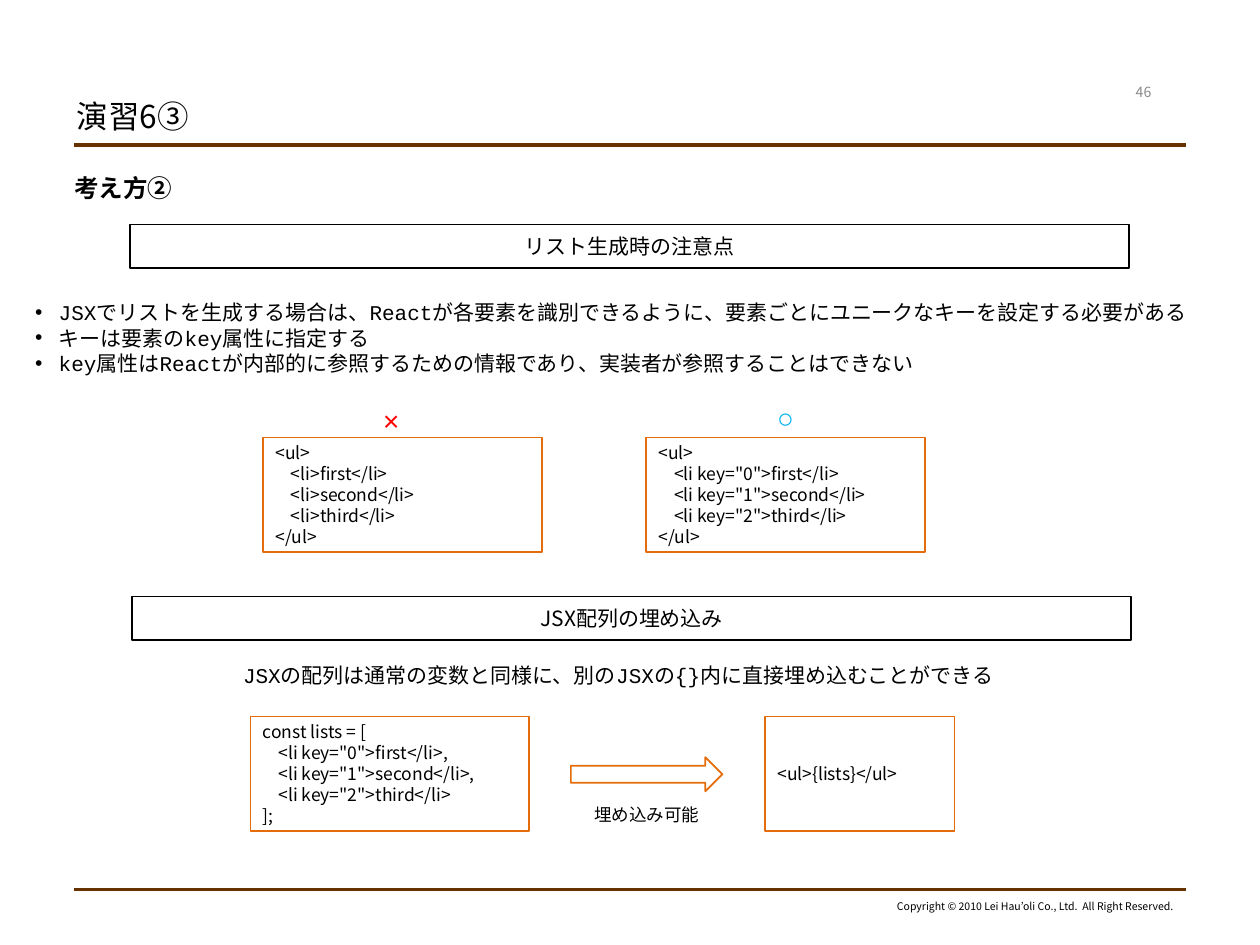
"""Builds the exercise slide on list keys and embedding JSX arrays."""
from lxml import etree
from pptx import Presentation
from pptx import util as u
from pptx.dml.color import RGBColor
from pptx.enum import shapes, text
from pptx.oxml.ns import qn

BLACK = RGBColor(0x00, 0x00, 0x00)
GREY = RGBColor(0x89, 0x89, 0x89)
BROWN = RGBColor(0x66, 0x33, 0x00)
ORANGE = RGBColor(0xE4, 0x6C, 0x0A)
RED = RGBColor(0xFF, 0x00, 0x00)
BLUE = RGBColor(0x00, 0xB0, 0xF0)
SANS = "Noto Sans CJK JP"
MONO = "Courier New"
LEFT, CENTER, RIGHT = text.PP_ALIGN.LEFT, text.PP_ALIGN.CENTER, text.PP_ALIGN.RIGHT
MIDDLE, TOP = text.MSO_ANCHOR.MIDDLE, text.MSO_ANCHOR.TOP


class Sheet:
    """Holds the style and the current slide."""

    line_height = 1.2
    bullet_indent = 13.5

    def __init__(self, slide):
        self.slide = slide

    def add_lines(self, frame, lines, size, font=SANS, color=BLACK, align=LEFT, bold=False, bullet=None):
        for index, line in enumerate(lines):
            paragraph = frame.paragraphs[0] if index == 0 else frame.add_paragraph()
            self.mark(paragraph, bullet)
            paragraph.alignment = align
            paragraph.space_before = u.Pt(0)
            paragraph.line_spacing = u.Pt(round(size * self.line_height, 2))
            run = paragraph.add_run()
            run.text = line
            run.font.size = u.Pt(size)
            run.font.bold = bold
            run.font.color.rgb = color
            run.font.name = font
            etree.SubElement(run.font._element, qn("a:ea"), typeface=SANS)

    def mark(self, paragraph, bullet):
        properties = paragraph._p.get_or_add_pPr()
        indent = u.Pt(self.bullet_indent) if bullet else 0
        properties.set("marL", str(indent))
        properties.set("indent", str(-indent))
        if bullet:
            etree.SubElement(properties, qn("a:buFont"), typeface="Arial")
            etree.SubElement(properties, qn("a:buChar"), char=bullet)
        else:
            etree.SubElement(properties, qn("a:buNone"))

    def placeholder(self, holder, box, lines, size, anchor, bold=False):
        holder.left, holder.top, holder.width, holder.height = map(u.Pt, box)
        holder.text_frame.vertical_anchor = anchor
        self.add_lines(holder.text_frame, lines, size, bold=bold)

    def label(self, box, lines, size, anchor=TOP, **style):
        frame = self.slide.shapes.add_textbox(*map(u.Pt, box)).text_frame
        frame.word_wrap = False
        frame.vertical_anchor = anchor
        self.add_lines(frame, lines, size, **style)

    def outline(self, box, color, preset=shapes.MSO_SHAPE.RECTANGLE):
        shape = self.slide.shapes.add_shape(preset, *map(u.Pt, box))
        shape.shadow.inherit = False
        shape.fill.background()
        shape.line.color.rgb = color
        shape.line.width = u.Pt(1)
        return shape

    def panel(self, box, color, lines, size, align=LEFT):
        frame = self.outline(box, color).text_frame
        frame.vertical_anchor = MIDDLE
        self.add_lines(frame, lines, size, align=align)

    def heading(self, left, top, line):
        self.panel((left, top, 571, 24.8), BLACK, [line], 12, CENTER)

    def code(self, left, top, lines, width=159.3):
        self.panel((left, top, width, 65.5), ORANGE, lines, 10)

    def rule(self, top):
        line = self.slide.shapes.add_connector(
            shapes.MSO_CONNECTOR.STRAIGHT, u.Pt(42.5), u.Pt(top), u.Pt(677.5), u.Pt(top))
        line.line.color.rgb = BROWN
        line.line.width = u.Pt(2.25)
        etree.SubElement(line._element.spPr, qn("a:effectLst"))


def main():
    deck = Presentation()
    deck.slide_width, deck.slide_height = u.Pt(720), u.Pt(540)
    slide = deck.slides.add_slide(deck.slide_layouts[1])
    sheet = Sheet(slide)
    title, body = slide.placeholders

    for top in (82.8, 508.3):
        sheet.rule(top)
    sheet.label((503.3, 510.5, 174.2, 14.4),
                ["Copyright © 2010 Lei Hau’oli Co., Ltd.  All Right Reserved."], 6, align=RIGHT)
    sheet.placeholder(title, (36.7, 54.7, 476.6, 23), ["演習6③"], 18, MIDDLE)
    sheet.placeholder(body, (35.3, 95, 648, 402.5), ["考え方②"], 14, TOP, bold=True)
    sheet.label((632.2, 43.9, 42.5, 17.3), ["46"], 8, MIDDLE, color=GREY, align=CENTER)

    sheet.heading(74.2, 128.2, "リスト生成時の注意点")
    sheet.label((13, 167.8, 681.8, 50.4), [
        "JSXでリストを生成する場合は、Reactが各要素を識別できるように、要素ごとにユニークなキーを設定する必要がある",
        "キーは要素のkey属性に指定する",
        "key属性はReactが内部的に参照するための情報であり、実装者が参照することはできない",
    ], 12, font=MONO, bullet="•")

    names = ("first", "second", "third")
    plain = [f"    <li>{name}</li>" for name in names]
    keyed = [f'    <li key="{key}">{name}</li>' for key, name in enumerate(names)]
    sheet.label((211.7, 226.8, 23.8, 26.6), ["×"], 16, font=MONO, color=RED)
    sheet.label((437, 225.4, 23.8, 26.6), ["○"], 16, font=MONO, color=BLUE)
    for left, items in ((150.3, plain), (369.3, keyed)):
        sheet.code(left, 250, ["<ul>", *items, "</ul>"])

    sheet.heading(75.5, 340.8, "JSX配列の埋め込み")
    sheet.label((131.8, 375.1, 457.9, 21.6),
                ["JSXの配列は通常の変数と同様に、別のJSXの{}内に直接埋め込むことができる"], 12, font=MONO)
    array_items = [item + "," for item in keyed[:-1]] + keyed[-1:]
    sheet.code(143.2, 409.5, ["const lists = [", *array_items, "];"])
    sheet.outline((326.2, 432.7, 86.6, 19.5), ORANGE, shapes.MSO_SHAPE.RIGHT_ARROW)
    sheet.label((332.6, 455.8, 74.2, 19.4), ["埋め込み可能"], 10, font=MONO)
    sheet.code(437.2, 409.5, ["<ul>{lists}</ul>"], width=108.3)

    deck.save("out.pptx")


if __name__ == "__main__":
    main()
